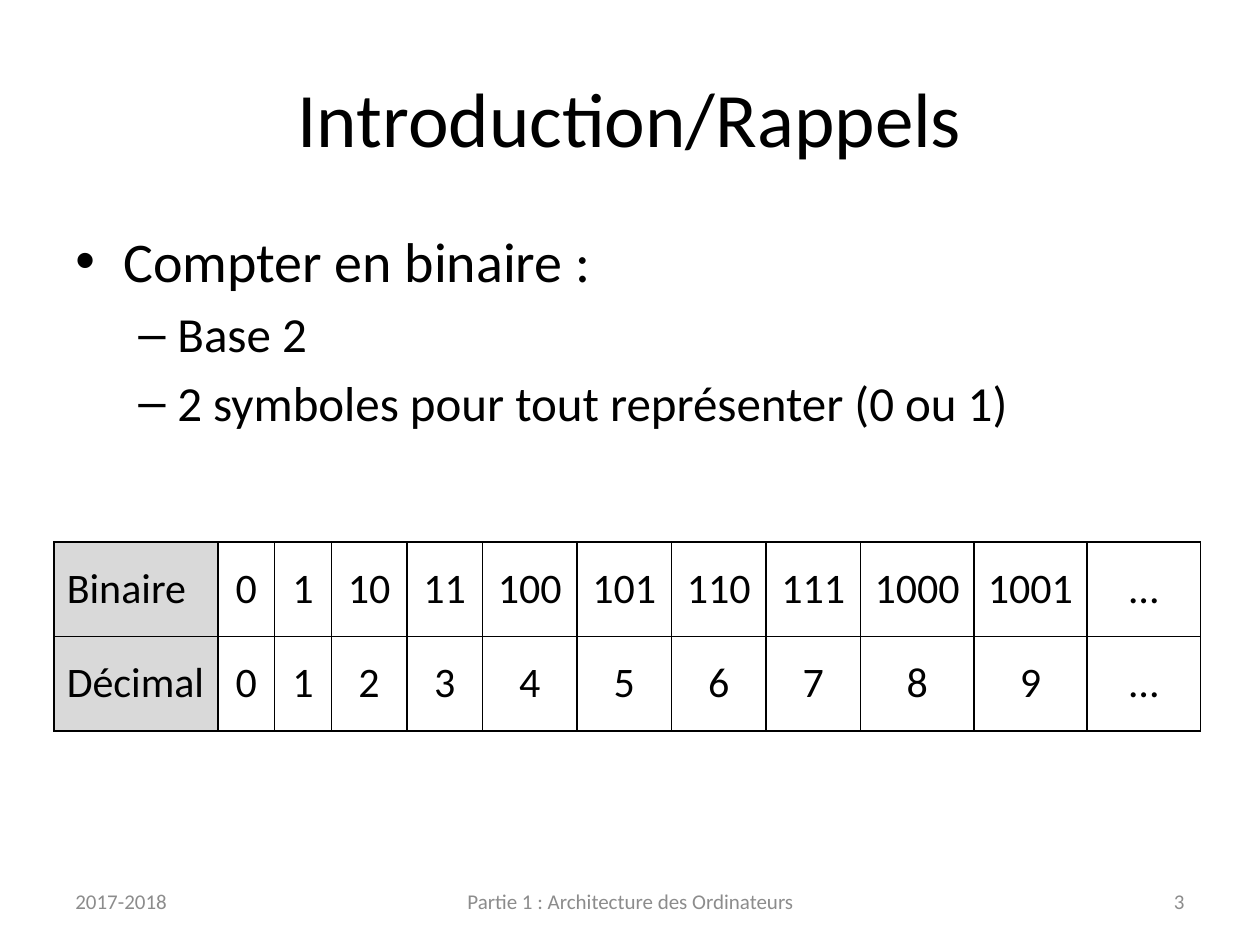
"""Build the slide that recalls how to count in binary."""
from dataclasses import dataclass

from lxml import etree
from pptx import Presentation
from pptx.dml.color import RGBColor
from pptx.enum.text import MSO_ANCHOR, PP_ALIGN
from pptx.oxml.ns import qn
from pptx.util import Inches, Pt

LEFT, CENTER, RIGHT = PP_ALIGN.LEFT, PP_ALIGN.CENTER, PP_ALIGN.RIGHT
TOP, MIDDLE = MSO_ANCHOR.TOP, MSO_ANCHOR.MIDDLE


@dataclass(frozen=True)
class Theme:
    font: str = "Calibri"
    text: str = "000000"
    muted: str = "8C8C8C"
    header: str = "D9D9D9"
    border: str = "000000"
    border_width: float = 1
    title: float = 44
    body: float = 32
    sub: float = 28
    table: float = 24
    footer: float = 12


THEME = Theme()


@dataclass(frozen=True)
class Line:
    text: str
    size: float
    color: str = THEME.text
    align: PP_ALIGN = LEFT
    bullet: str = ""
    level: int = 0
    margin: float = 0
    hanging: float = 0


@dataclass(frozen=True)
class Box:
    left: float
    top: float
    width: float
    height: float
    lines: tuple[Line, ...]
    anchor: MSO_ANCHOR = MIDDLE


BOXES = (
    Box(0.5, 0.3, 9, 1.25, (Line("Introduction/Rappels", THEME.title, align=CENTER),)),
    Box(0.5, 1.75, 9, 4.95, (
        Line("Compter en binaire :", THEME.body, bullet="•", margin=0.38, hanging=0.38),
        *(Line(text, THEME.sub, bullet="–", level=1, margin=0.81, hanging=0.31)
          for text in ("Base 2", "2 symboles pour tout représenter (0 ou 1)")),
    ), TOP),
    *(Box(left, 6.95, width, 0.4, (Line(text, THEME.footer, THEME.muted, align),))
      for left, width, text, align in (
          (0.5, 2.33, "2017-2018", LEFT),
          (3.42, 3.17, "Partie 1 : Architecture des Ordinateurs", CENTER),
          (7.17, 2.33, "3", RIGHT),
      )),
)


def write_line(p, line: Line) -> None:
    """Fill a paragraph with a styled line of text."""
    p.text, p.alignment, p.level = line.text, line.align, line.level
    p.font.name, p.font.size = THEME.font, Pt(line.size)
    p.font.color.rgb = RGBColor.from_string(line.color)
    if line.bullet:
        p.space_before = Pt(0.2 * line.size)
        pPr = p._p.get_or_add_pPr()
        pPr.set("marL", str(Inches(line.margin)))
        pPr.set("indent", str(-Inches(line.hanging)))
        bullet_font = etree.Element(qn("a:buFont"), typeface="Arial")
        bullet = etree.Element(qn("a:buChar"), char=line.bullet)
        pPr.find(qn("a:defRPr")).addprevious(bullet_font)
        bullet_font.addnext(bullet)


def add_box(s, box: Box) -> None:
    """Add a wrapped text box."""
    sp = s.shapes.add_textbox(*map(Inches, (box.left, box.top, box.width, box.height)))
    tf = sp.text_frame
    tf.word_wrap, tf.vertical_anchor = True, box.anchor
    for i, line in enumerate(box.lines):
        write_line(tf.add_paragraph() if i else tf.paragraphs[0], line)


def set_borders(cell) -> None:
    """Draw a solid line on each side of a cell."""
    tcPr = cell._tc.get_or_add_tcPr()
    for i, side in enumerate(("lnL", "lnR", "lnT", "lnB")):
        ln = etree.Element(qn(f"a:{side}"), w=str(Pt(THEME.border_width)))
        fill = etree.SubElement(ln, qn("a:solidFill"))
        etree.SubElement(fill, qn("a:srgbClr"), val=THEME.border)
        tcPr.insert(i, ln)


def add_number_table(s, left: float, top: float, row_height: float) -> None:
    """Add the table of binary numbers with their decimal values."""
    binary = [f"{n:b}" for n in range(10)]
    rows = (["Binaire", *binary, "…"], ["Décimal", *map(str, range(10)), "…"])
    number_widths = [0.3 + 0.15 * len(number) for number in binary]
    widths = [1.3, *number_widths, number_widths[-1]]
    frame = s.shapes.add_table(len(rows), len(widths), Inches(left), Inches(top),
                               Inches(sum(widths)), Inches(row_height * len(rows)))
    table = frame.table
    table.first_row = table.horz_banding = False
    for column, width in zip(table.columns, widths):
        column.width = Inches(width)
    for r, texts in enumerate(rows):
        for c, text in enumerate(texts):
            cell = table.cell(r, c)
            cell.vertical_anchor = MIDDLE
            write_line(cell.text_frame.paragraphs[0],
                       Line(text, THEME.table, align=CENTER if c else LEFT))
            if c:
                cell.fill.background()
            else:
                cell.fill.solid()
                cell.fill.fore_color.rgb = RGBColor.from_string(THEME.header)
            set_borders(cell)


def main() -> None:
    """Create and save the presentation."""
    prs = Presentation()
    prs.slide_width, prs.slide_height = Inches(10), Inches(7.5)
    s = prs.slides.add_slide(prs.slide_layouts[6])
    for box in BOXES:
        add_box(s, box)
    add_number_table(s, 0.43, 4.3, 0.75)
    prs.save("out.pptx")


if __name__ == "__main__":
    main()
